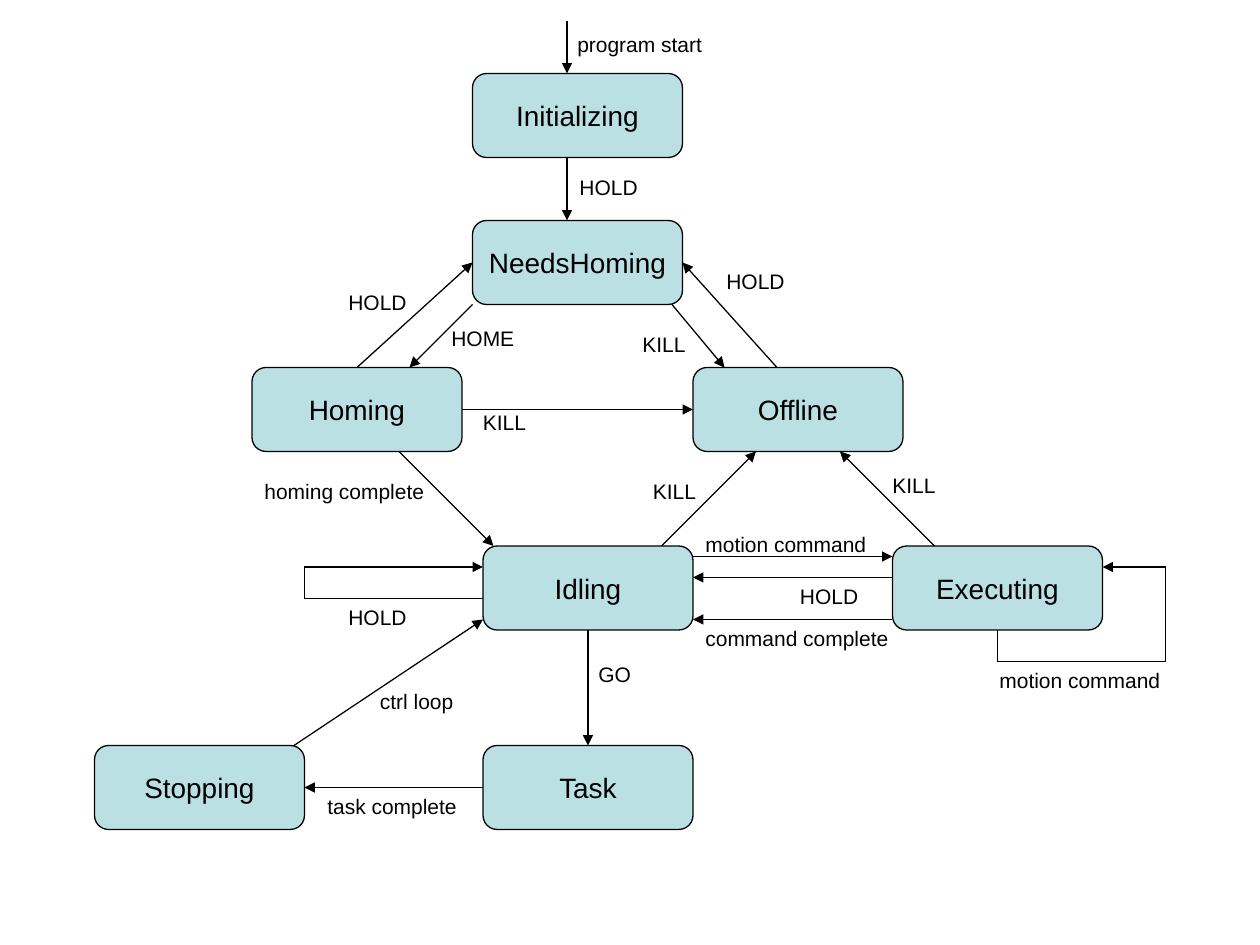
from dataclasses import dataclass
from itertools import pairwise

from lxml.etree import SubElement
from pptx import Presentation
from pptx.dml.color import RGBColor
from pptx.enum.shapes import MSO_CONNECTOR, MSO_SHAPE
from pptx.enum.text import MSO_ANCHOR, MSO_AUTO_SIZE, PP_ALIGN
from pptx.oxml.ns import qn
from pptx.slide import Slide
from pptx.text.text import TextFrame
from pptx.util import Cm, Length, Pt

COLORS = {"state": "BBE0E3", "ink": "000000"}
FONT = "Arial"
GRID_CM = 2.54 / 12  # all positions below are counted in grid steps
STATE_W, STATE_H = 20, 8
LABEL_H = 3.6
LABEL_W = {
    "program start": 14.4, "HOLD": 8.1, "HOME": 8.5, "KILL": 6.6,
    "homing complete": 17.7, "motion command": 17.9, "command complete": 20,
    "GO": 5.6, "task complete": 14.9, "ctrl loop": 9.5,
}


@dataclass
class State:
    name: str
    x: float
    y: float


@dataclass
class Transition:
    label: str
    x: float
    y: float
    points: list[tuple[float, float]]


STATES = [
    State("Initializing", 45, 7),
    State("NeedsHoming", 45, 21),
    State("Homing", 24, 35),
    State("Offline", 66, 35),
    State("Idling", 46, 52),
    State("Executing", 85, 52),
    State("Task", 46, 71),
    State("Stopping", 9, 71),
]

TRANSITIONS = [
    Transition("program start", 53.8, 2.4, [(54, 2), (54, 7)]),
    Transition("HOLD", 54, 16, [(54, 15), (54, 21)]),
    Transition("HOME", 41.8, 30.4, [(45, 29), (39, 35)]),
    Transition("HOLD", 32, 27, [(34, 35), (45, 25)]),
    Transition("KILL", 60, 31, [(64, 29), (69, 35)]),
    Transition("HOLD", 68, 25, [(74, 35), (65, 25)]),
    Transition("KILL", 44.8, 38.4, [(44, 39), (66, 39)]),
    Transition("homing complete", 24, 45, [(38, 43), (47, 52)]),
    Transition("KILL", 61, 45, [(63, 52), (72, 43)]),
    Transition("KILL", 83.8, 44.4, [(89, 52), (80, 43)]),
    Transition("motion command", 66, 50, [(66, 53), (85, 53)]),
    Transition("HOLD", 75, 55, [(85, 55), (66, 55)]),
    Transition("command complete", 66, 59, [(85, 59), (66, 59)]),
    Transition("GO", 55.8, 62.4, [(56, 60), (56, 71)]),
    Transition("task complete", 30, 75, [(46, 75), (29, 75)]),
    Transition("ctrl loop", 35, 65, [(28, 71), (46, 59)]),
    Transition("motion command", 94, 63,
               [(95, 60), (95, 63), (111, 63), (111, 54), (105, 54)]),
    Transition("HOLD", 32, 57, [(46, 57), (29, 57), (29, 54), (46, 54)]),
]


def grid(*steps: float) -> list[Length]:
    return [Cm(n * GRID_CM) for n in steps]


def rgb(key: str) -> RGBColor:
    return RGBColor.from_string(COLORS[key])


def write(tf: TextFrame, text: str, size: int, align: PP_ALIGN) -> None:
    tf.word_wrap = False
    tf.text = text
    p = tf.paragraphs[0]
    p.alignment = align
    font = p.runs[0].font
    font.name, font.size = FONT, Pt(size)
    font.color.rgb = rgb("ink")


def draw_state(s: Slide, state: State) -> None:
    sp = s.shapes.add_shape(MSO_SHAPE.ROUNDED_RECTANGLE,
                            *grid(state.x, state.y, STATE_W, STATE_H))
    sp.shadow.inherit = False
    sp.fill.solid()
    sp.fill.fore_color.rgb = rgb("state")
    sp.line.color.rgb = rgb("ink")
    sp.line.width = Pt(0.75)
    sp.text_frame.vertical_anchor = MSO_ANCHOR.MIDDLE
    write(sp.text_frame, state.name, 16, PP_ALIGN.CENTER)


def draw_line(s: Slide, start: tuple[float, float], end: tuple[float, float],
              arrow: bool) -> None:
    cx = s.shapes.add_connector(MSO_CONNECTOR.STRAIGHT, *grid(*start, *end))
    cx.line.color.rgb = rgb("ink")
    cx.line.width = Pt(0.75)
    spPr = cx._element.spPr
    if arrow:
        SubElement(spPr.find(qn("a:ln")), qn("a:tailEnd"), type="triangle")
    SubElement(spPr, qn("a:effectLst"))


def draw_transition(s: Slide, t: Transition) -> None:
    """Draw the path, with an arrowhead on its last leg, and the label."""
    for start, end in pairwise(t.points):
        draw_line(s, start, end, arrow=end == t.points[-1])
    box = s.shapes.add_textbox(*grid(t.x, t.y, LABEL_W[t.label], LABEL_H))
    write(box.text_frame, t.label, 12, PP_ALIGN.LEFT)
    box.text_frame.auto_size = MSO_AUTO_SIZE.SHAPE_TO_FIT_TEXT


def main() -> None:
    prs = Presentation()
    prs.slide_width, prs.slide_height = Cm(25.4), Cm(19.05)
    s = prs.slides.add_slide(prs.slide_layouts[6])
    for state in STATES:
        draw_state(s, state)
    for transition in TRANSITIONS:
        draw_transition(s, transition)
    prs.save("out.pptx")


if __name__ == "__main__":
    main()
